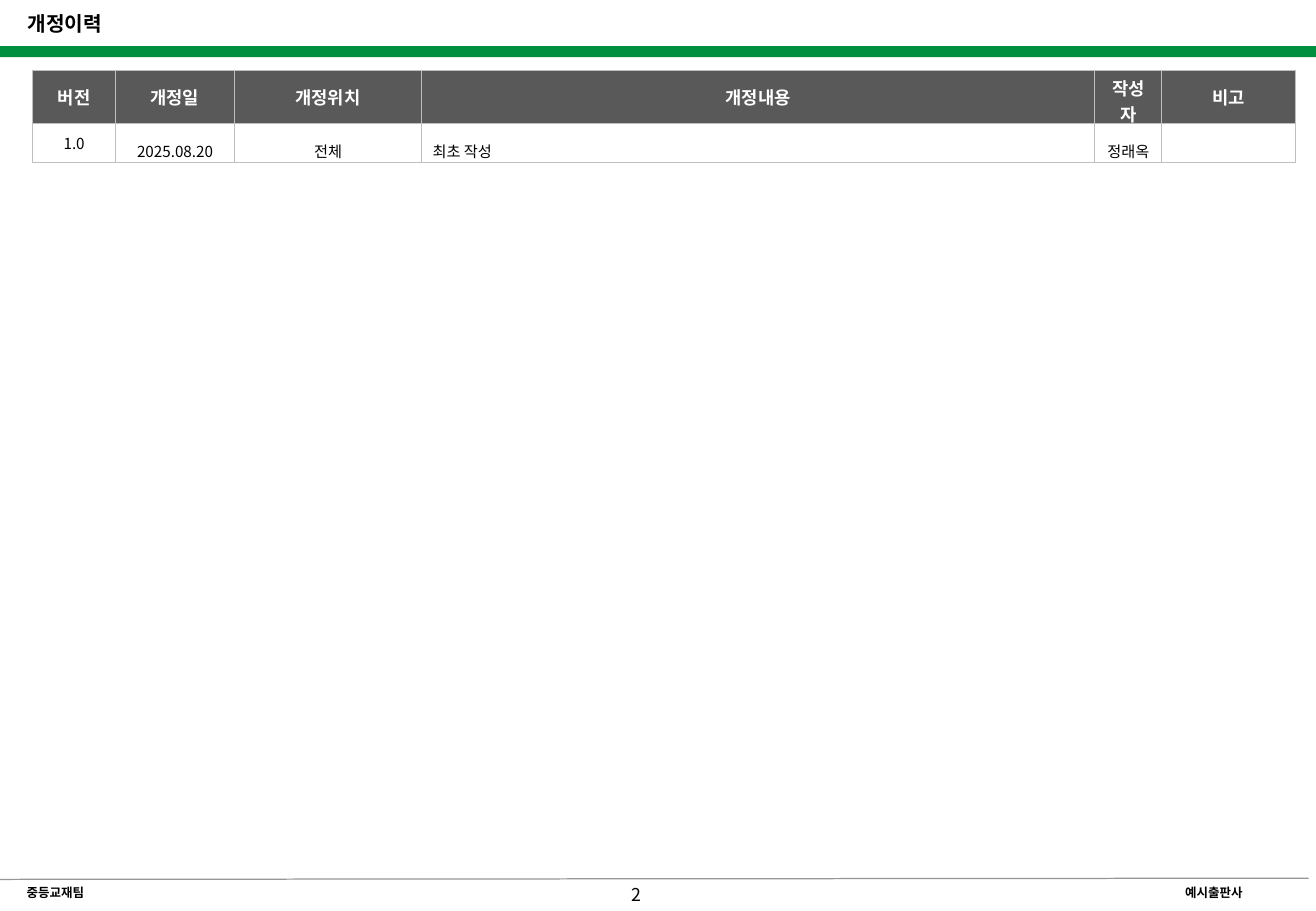
from pptx import Presentation
from pptx.dml.color import RGBColor
from pptx.enum.shapes import MSO_CONNECTOR, MSO_SHAPE
from pptx.enum.text import MSO_ANCHOR, PP_ALIGN
from pptx.oxml.ns import qn
from pptx.util import Inches, Pt
from lxml import etree

LEFT, CENTER = PP_ALIGN.LEFT, PP_ALIGN.CENTER
TOP, MIDDLE = MSO_ANCHOR.TOP, MSO_ANCHOR.MIDDLE
RECT, STRAIGHT = MSO_SHAPE.RECTANGLE, MSO_CONNECTOR.STRAIGHT
BLACK = RGBColor(0x00, 0x00, 0x00)
WHITE = RGBColor(0xFF, 0xFF, 0xFF)
GREEN = RGBColor(0x00, 0x8E, 0x40)
DARK = RGBColor(0x59, 0x59, 0x59)
GRAY = RGBColor(0x96, 0x96, 0x96)
EDGE = RGBColor(0xBF, 0xBF, 0xBF)


class Page:
    """Hold the font and the current slide, and draw its elements."""

    def __init__(self, slide, font):
        self.shapes = slide.shapes
        self.font = font

    def words(self, para, text, size, color=BLACK, bold=False, align=LEFT):
        para.alignment = align
        if not text:
            para._p.get_or_add_endParaRPr().set("sz", str(int(size * 100)))
            return
        run = para.add_run()
        run.text = text
        run.font.name = self.font
        run.font.size = Pt(size)
        run.font.bold = bold
        run.font.color.rgb = color
        east = etree.SubElement(run._r.get_or_add_rPr(), qn("a:ea"))
        east.set("typeface", self.font)

    def label(self, box, text, size, bold=True, align=LEFT, anchor=MIDDLE):
        frame = self.shapes.add_textbox(*map(Inches, box)).text_frame
        frame.word_wrap = True
        frame.vertical_anchor = anchor
        frame.margin_top = Inches(0.02)
        frame.margin_bottom = 0
        self.words(frame.paragraphs[0], text, size, bold=bold, align=align)

    def bar(self, box, color):
        shape = self.shapes.add_shape(RECT, *map(Inches, box))
        shape.shadow.inherit = False
        shape.fill.solid()
        shape.fill.fore_color.rgb = color
        shape.line.fill.background()

    def rule(self, ends, color, width):
        line = self.shapes.add_connector(STRAIGHT, *map(Inches, ends))
        line.line.color.rgb = color
        line.line.width = Pt(width)
        etree.SubElement(line._element.spPr, qn("a:effectLst"))

    def border(self, cell, color, width):
        props = cell._tc.get_or_add_tcPr()
        for spot, side in enumerate(("lnL", "lnR", "lnT", "lnB")):
            line = etree.Element(qn("a:" + side), w=str(Pt(width)))
            fill = etree.SubElement(line, qn("a:solidFill"))
            etree.SubElement(fill, qn("a:srgbClr"), val=str(color))
            props.insert(spot, line)

    def table(self, left, top, widths, heights, rows):
        box = (left, top, sum(widths), sum(heights))
        grid = self.shapes.add_table(len(rows), len(widths), *map(Inches, box)).table
        for col, width in zip(grid.columns, widths):
            col.width = Inches(width)
        for r, texts in enumerate(rows):
            grid.rows[r].height = Inches(heights[r])
            for c, text in enumerate(texts):
                self.cell(grid.cell(r, c), text, r == 0, c)

    def cell(self, cell, text, head, col):
        cell.vertical_anchor = MIDDLE
        cell.margin_left = cell.margin_right = Inches(0.09)
        cell.margin_top = cell.margin_bottom = Inches(0.04)
        cell.fill.solid()
        cell.fill.fore_color.rgb = DARK if head else WHITE
        self.border(cell, EDGE, 0.5)
        para = cell.text_frame.paragraphs[0]
        if head:
            self.words(para, text, 10.5, WHITE, True, CENTER)
            return
        if text and col > 0:
            para.line_spacing = 1.5
        self.words(para, text, 9, align=LEFT if col == 3 else CENTER)


def main():
    deck = Presentation()
    deck.slide_width, deck.slide_height = Inches(10.83), Inches(7.5)
    page = Page(deck.slides.add_slide(deck.slide_layouts[6]), "Noto Sans CJK KR")
    page.label((5.1, 7.21, 0.57, 0.28), "2", 10.5, bold=False)
    page.label((0.12, 7.23, 2.58, 0.22), "중등교재팀", 7.4)
    page.rule((0, 7.24, 10.77, 7.23), GRAY, 0.75)
    page.label((9.16, 7.23, 1.66, 0.22), "예시출판사", 7.4, align=CENTER)
    page.bar((0, 0.38, 10.83, 0.09), GREEN)
    page.label((0.13, 0.07, 1.86, 0.25), "개정이력", 12, anchor=TOP)
    rows = [
        ("버전", "개정일", "개정위치", "개정내용", "작성자", "비고"),
        ("1.0", "2025.08.20", "전체", "최초 작성", "정래옥", ""),
    ]
    widths = (0.68, 0.98, 1.54, 5.54, 0.55, 1.1)
    page.table(0.27, 0.58, widths, (0.44, 0.32), rows)
    deck.save("out.pptx")


if __name__ == "__main__":
    main()
